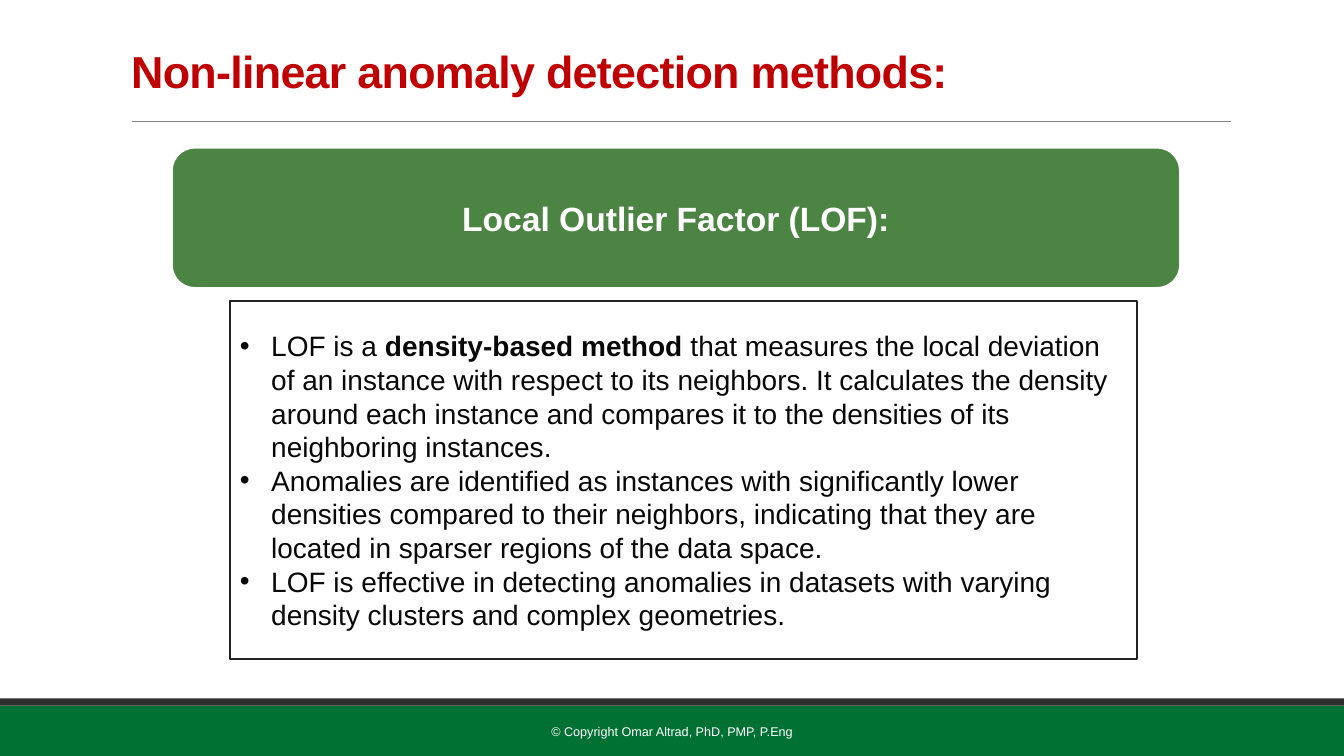
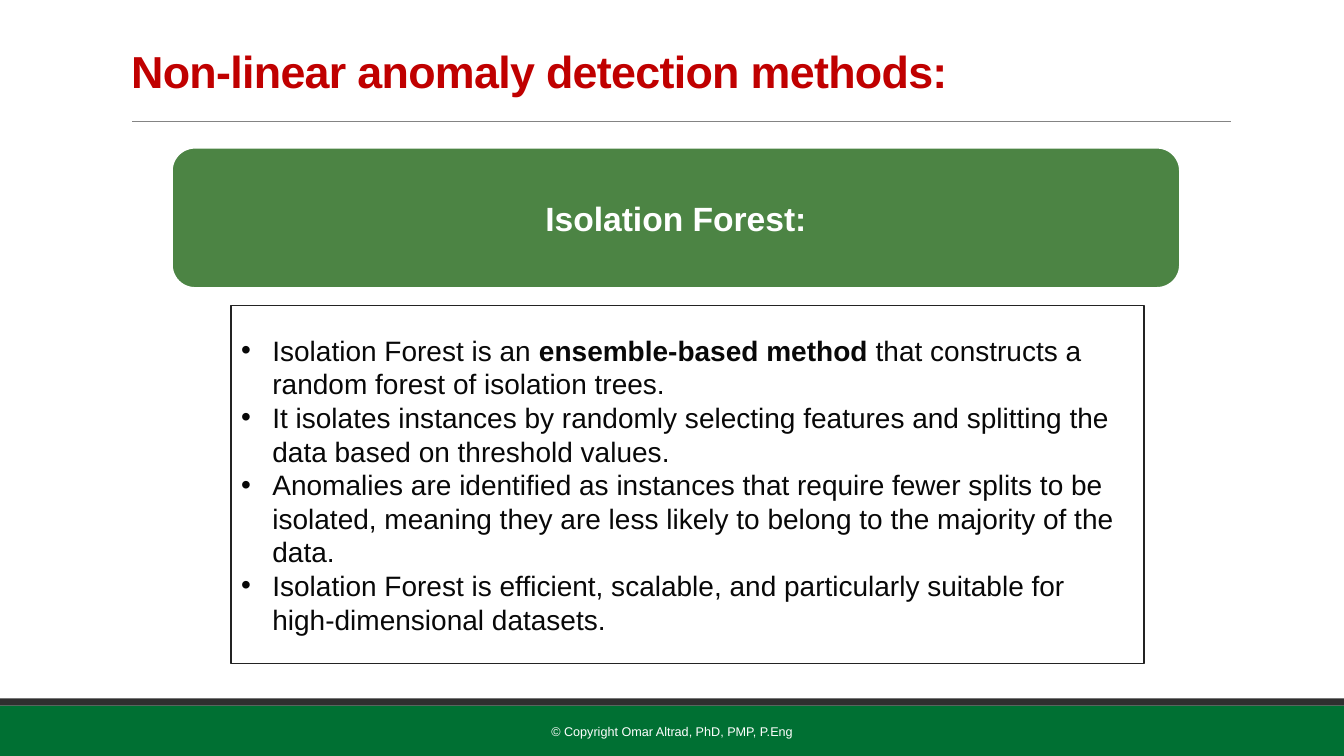
from dataclasses import dataclass

from lxml import etree
from pptx import Presentation
from pptx.dml.color import RGBColor
from pptx.enum.shapes import MSO_CONNECTOR, MSO_SHAPE
from pptx.enum.text import MSO_ANCHOR, MSO_AUTO_SIZE, PP_ALIGN
from pptx.oxml.ns import qn
from pptx.util import Cm, Pt

RECT = MSO_SHAPE.RECTANGLE
ROUNDED = MSO_SHAPE.ROUNDED_RECTANGLE
STRAIGHT = MSO_CONNECTOR.STRAIGHT
MIDDLE = MSO_ANCHOR.MIDDLE
NO_AUTOFIT = MSO_AUTO_SIZE.NONE
LEFT, CENTER = PP_ALIGN.LEFT, PP_ALIGN.CENTER
TITLE_AND_CONTENT = 1


@dataclass(frozen=True)
class Theme:
    font: str = "Arial"
    title_color: str = "C00000"
    body_color: str = "080808"
    white: str = "FFFFFF"
    banner_fill: str = "4C8444"
    footer_fill: str = "007033"
    stripe_fill: str = "2F2F2F"
    rule_color: str = "848484"
    frame_color: str = "232323"
    title_size: float = 32
    banner_size: float = 24
    body_size: float = 20
    body_leading: float = 24
    footer_size: float = 9


THEME = Theme()
SLIDE_WIDTH, SLIDE_HEIGHT = 33.87, 19.05
FOOTER_HEIGHT, STRIPE_HEIGHT = 1.27, 0.18
TITLE = "Non-linear anomaly detection methods:"
COPYRIGHT = "© Copyright Omar Altrad, PhD, PMP, P.Eng"

# Each bullet is a list of segments; every second segment is bold.
METHODS = [
    {
        "name": "Local Outlier Factor (LOF):",
        "frame": (5.79, 7.59, 22.86, 9.02),
        "bullets": [
            ["LOF is a ", "density-based method ",
             "that measures the local deviation of an instance with respect to "
             "its neighbors. It calculates the density around each instance and "
             "compares it to the densities of its neighboring instances."],
            ["Anomalies are identified as instances with significantly lower "
             "densities compared to their neighbors, indicating that they are "
             "located in sparser regions of the data space."],
            ["LOF is effective in detecting anomalies in datasets with varying "
             "density clusters and complex geometries."],
        ],
    },
    {
        "name": "Isolation Forest:",
        "frame": (5.82, 7.7, 23.01, 9.02),
        "bullets": [
            ["Isolation Forest is an ", "ensemble-based method ",
             "that constructs a random forest of isolation trees."],
            ["It isolates instances by randomly selecting features and "
             "splitting the data based on threshold values."],
            ["Anomalies are identified as instances that require fewer splits "
             "to be isolated, meaning they are less likely to belong to the "
             "majority of the data."],
            ["Isolation Forest is efficient, scalable, and particularly "
             "suitable for high-dimensional datasets."],
        ],
    },
]


def rgb(color):
    return RGBColor.from_string(color)


def place(shape, left, top, width, height):
    shape.left, shape.top = Cm(left), Cm(top)
    shape.width, shape.height = Cm(width), Cm(height)


def prepare_frame(shape):
    frame = shape.text_frame
    frame.word_wrap = True
    frame.auto_size = NO_AUTOFIT
    frame.vertical_anchor = MIDDLE
    return frame


def format_run(run, size, color, bold=False):
    run.font.name = THEME.font
    run.font.size = Pt(size)
    run.font.bold = bold
    run.font.color.rgb = rgb(color)


def set_line_of_text(shape, text, size, color, bold=False, align=CENTER):
    frame = prepare_frame(shape)
    frame.text = text
    paragraph = frame.paragraphs[0]
    paragraph.alignment = align
    format_run(paragraph.runs[0], size, color, bold)
    return paragraph


def add_block(slide, kind, box, fill):
    block = slide.shapes.add_shape(kind, *map(Cm, box))
    block.shadow.inherit = False
    block.fill.solid()
    block.fill.fore_color.rgb = rgb(fill)
    block.line.fill.background()
    return block


def add_rule(slide, start, end, y):
    rule = slide.shapes.add_connector(STRAIGHT, Cm(start), Cm(y), Cm(end), Cm(y))
    rule.line.color.rgb = rgb(THEME.rule_color)
    rule.line.width = Pt(0.5)
    etree.SubElement(rule._element.spPr, qn("a:effectLst"))


def add_footer(slide):
    footer_top = SLIDE_HEIGHT - FOOTER_HEIGHT
    add_block(slide, RECT, (0, footer_top, SLIDE_WIDTH, FOOTER_HEIGHT),
              THEME.footer_fill)
    add_block(slide, RECT, (0, footer_top - STRIPE_HEIGHT, SLIDE_WIDTH, STRIPE_HEIGHT),
              THEME.stripe_fill)
    notice = slide.shapes.add_textbox(Cm(10.24), Cm(17.93), Cm(13.39), Cm(1.02))
    set_line_of_text(notice, COPYRIGHT, THEME.footer_size, THEME.white)


def set_title(slide):
    title = slide.shapes.title
    place(title, 3.05, 0.79, 27.94, 2.18)
    paragraph = set_line_of_text(title, TITLE, THEME.title_size,
                                 THEME.title_color, bold=True, align=LEFT)
    paragraph.line_spacing = 0.85
    paragraph.runs[0].font._element.set("spc", "-50")
    add_rule(slide, 3.33, 31.01, 3.05)


def add_banner(slide, name):
    banner = add_block(slide, ROUNDED, (4.32, 3.71, 25.43, 3.56), THEME.banner_fill)
    banner.line.color.rgb = rgb(THEME.white)
    banner.line.width = Pt(2)
    set_line_of_text(banner, name, THEME.banner_size, THEME.white, bold=True)


def set_bullet(paragraph):
    properties = paragraph._p.get_or_add_pPr()
    indent = Cm(0.79)
    properties.set("marL", str(indent))
    properties.set("indent", str(-indent))
    etree.SubElement(properties, qn("a:buFont"), typeface=THEME.font)
    etree.SubElement(properties, qn("a:buChar"), char="•")


def fill_description(slide, box, bullets):
    """Put the bullets into the body placeholder, shown as a framed panel."""
    body = slide.placeholders[1]
    place(body, *box)
    body.fill.solid()
    body.fill.fore_color.rgb = rgb(THEME.white)
    body.line.color.rgb = rgb(THEME.frame_color)
    body.line.width = Pt(1.25)
    frame = prepare_frame(body)
    for index, segments in enumerate(bullets):
        paragraph = frame.add_paragraph() if index else frame.paragraphs[0]
        paragraph.alignment = LEFT
        paragraph.space_before = paragraph.space_after = Pt(0)
        paragraph.line_spacing = Pt(THEME.body_leading)
        set_bullet(paragraph)
        for position, segment in enumerate(segments):
            run = paragraph.add_run()
            run.text = segment
            format_run(run, THEME.body_size, THEME.body_color,
                       bold=position % 2 == 1)


def add_method_slide(deck, method):
    slide = deck.slides.add_slide(deck.slide_layouts[TITLE_AND_CONTENT])
    set_title(slide)
    add_footer(slide)
    add_banner(slide, method["name"])
    fill_description(slide, method["frame"], method["bullets"])


def main():
    deck = Presentation()
    deck.slide_width, deck.slide_height = Cm(SLIDE_WIDTH), Cm(SLIDE_HEIGHT)
    for method in METHODS:
        add_method_slide(deck, method)
    deck.save("out.pptx")


if __name__ == "__main__":
    main()
